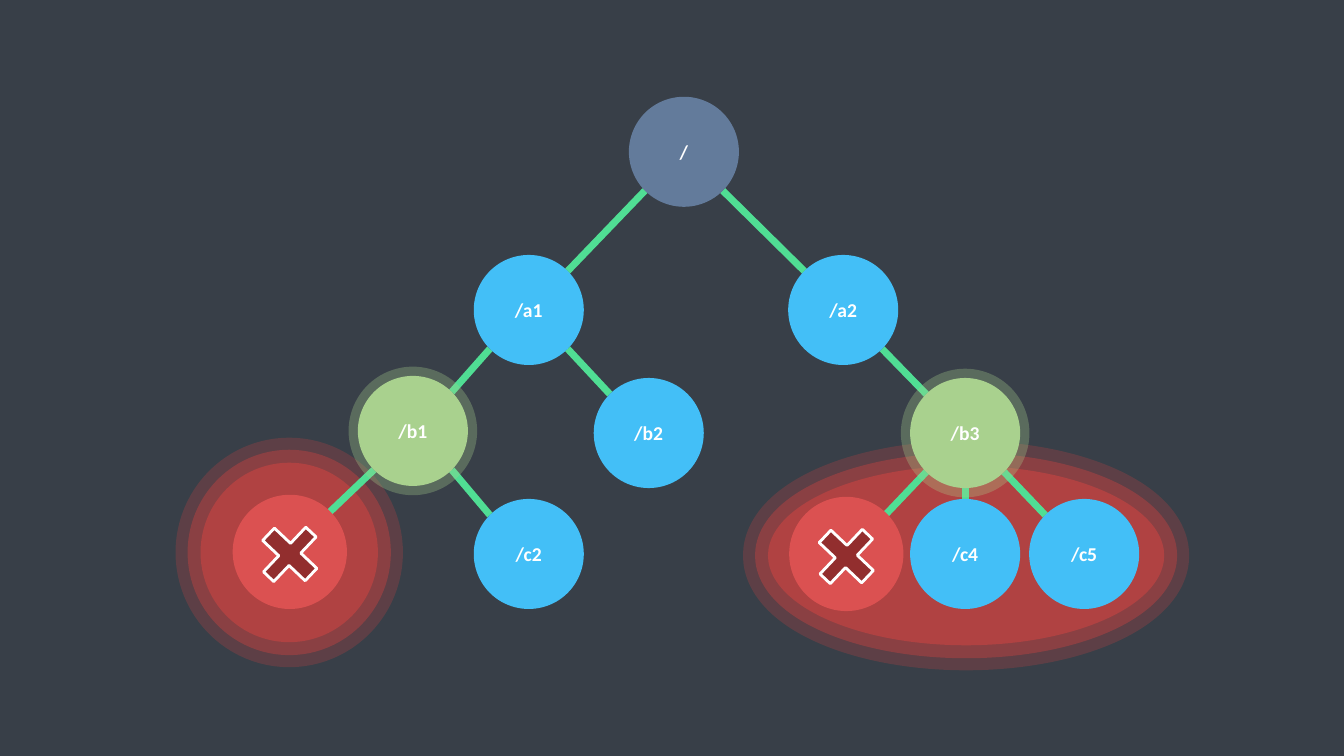
"""Draw a tree of paths with two failed nodes and the zones they affect."""
import lxml.etree
import pptx
import pptx.dml.color
import pptx.enum.shapes
import pptx.enum.text
import pptx.oxml.ns
import pptx.util

Pt = pptx.util.Pt
SHAPE = pptx.enum.shapes.MSO_SHAPE

BACKGROUND, EDGE, WHITE = "383F48", "50DE94", "FFFFFF"
ROOT, NORMAL, ALERT = "637B9B", "43BFF7", "A9D18E"
FAILED, CROSS, ZONE = "DB5151", "922E2E", "B04242"
DIAMETER = 78.6
CROSS_SIZE = (43.9, 41.8)
CROSS_DROP = 1.8

NODES = {
    "/c2": (377.7, 395.7, NORMAL),
    "/b2": (463.4, 309.3, NORMAL),
    "/a1": (377.7, 221.4, NORMAL),
    "/a2": (602.3, 221.4, NORMAL),
    "/c4": (689.4, 395.7, NORMAL),
    "/c5": (774.4, 395.7, NORMAL),
    "/": (488.5, 108.4, ROOT),
    "/c1": (207, 394.2, FAILED),
    "/c3": (604.5, 395.7, FAILED),
    "/b1": (294.9, 307.8, ALERT),
    "/b3": (689.4, 309.3, ALERT),
}
EDGES = [
    ("/", "/a1"), ("/a1", "/b1"), ("/b1", "/c1"), ("/a1", "/b2"), ("/b1", "/c2"),
    ("/a2", "/b3"), ("/b3", "/c3"), ("/b3", "/c4"), ("/", "/a2"), ("/b3", "/c5"),
]
ZONES = [(690.1, 396.8, 283, 128.2), (206.6, 394.6, 126.7, 128.2)]
ZONE_RINGS = [(ZONE, 18.5, 54), (None, 35.75, 31)]


def rgb(color):
    return pptx.dml.color.RGBColor.from_string(color)


def set_line(shape, color, width, opacity=100):
    shape.line.color.rgb = rgb(color)
    shape.line.width = Pt(width)
    if opacity < 100:
        outline = shape._element.spPr.find(pptx.oxml.ns.qn("a:ln"))
        for element in outline.iter(pptx.oxml.ns.qn("a:srgbClr")):
            alpha = lxml.etree.SubElement(element, pptx.oxml.ns.qn("a:alpha"))
            alpha.set("val", str(opacity * 1000))


def add_centred(page, kind, x, y, width, height, fill, line=None):
    shape = page.shapes.add_shape(
        kind, Pt(x - width / 2), Pt(y - height / 2), Pt(width), Pt(height))
    shape.shadow.inherit = False
    if fill:
        shape.fill.solid()
        shape.fill.fore_color.rgb = rgb(fill)
    else:
        shape.fill.background()
    if line:
        set_line(shape, *line)
    else:
        shape.line.fill.background()
    return shape


def add_edge(page, parent, child):
    x1, y1, _ = NODES[parent]
    x2, y2, _ = NODES[child]
    side = (x2 > x1) - (x2 < x1)
    radius = DIAMETER / 2
    drop = radius * 0.5 ** 0.5 if side else radius
    shift = side * drop
    edge = page.shapes.add_connector(
        pptx.enum.shapes.MSO_CONNECTOR.STRAIGHT,
        Pt(x1 + shift), Pt(y1 + drop), Pt(x2 - shift), Pt(y2 - drop))
    set_line(edge, EDGE, 5)
    lxml.etree.SubElement(edge._element.spPr, pptx.oxml.ns.qn("a:effectLst"))


def add_label(shape, text):
    frame = shape.text_frame
    frame.text = text
    frame.vertical_anchor = pptx.enum.text.MSO_ANCHOR.MIDDLE
    para = frame.paragraphs[0]
    para.alignment = pptx.enum.text.PP_ALIGN.CENTER
    font = para.runs[0].font
    font.name, font.size, font.bold = "Calibri", Pt(14), True
    font.color.rgb = rgb(WHITE)


def add_node(page, name, x, y, fill):
    outlines = {FAILED: (FAILED, 3), ALERT: (ALERT, 13.25, 30)}
    circle = add_centred(
        page, SHAPE.OVAL, x, y, DIAMETER, DIAMETER, fill, outlines.get(fill))
    if fill == FAILED:
        cross = add_centred(
            page, SHAPE.CROSS, x, y + CROSS_DROP, *CROSS_SIZE, CROSS, (WHITE, 2))
        cross.adjustments[0] = 0.379
        cross.rotation = 313.5
    else:
        add_label(circle, name)


def main():
    deck = pptx.Presentation()
    deck.slide_width, deck.slide_height = Pt(960), Pt(540)
    page = deck.slides.add_slide(deck.slide_layouts[6])
    page.background.fill.solid()
    page.background.fill.fore_color.rgb = rgb(BACKGROUND)
    for zone in ZONES:
        for fill, width, opacity in ZONE_RINGS:
            add_centred(page, SHAPE.OVAL, *zone, fill, (ZONE, width, opacity))
    for parent, child in EDGES:
        add_edge(page, parent, child)
    for name, (x, y, fill) in NODES.items():
        add_node(page, name, x, y, fill)
    deck.save("out.pptx")


if __name__ == "__main__":
    main()
